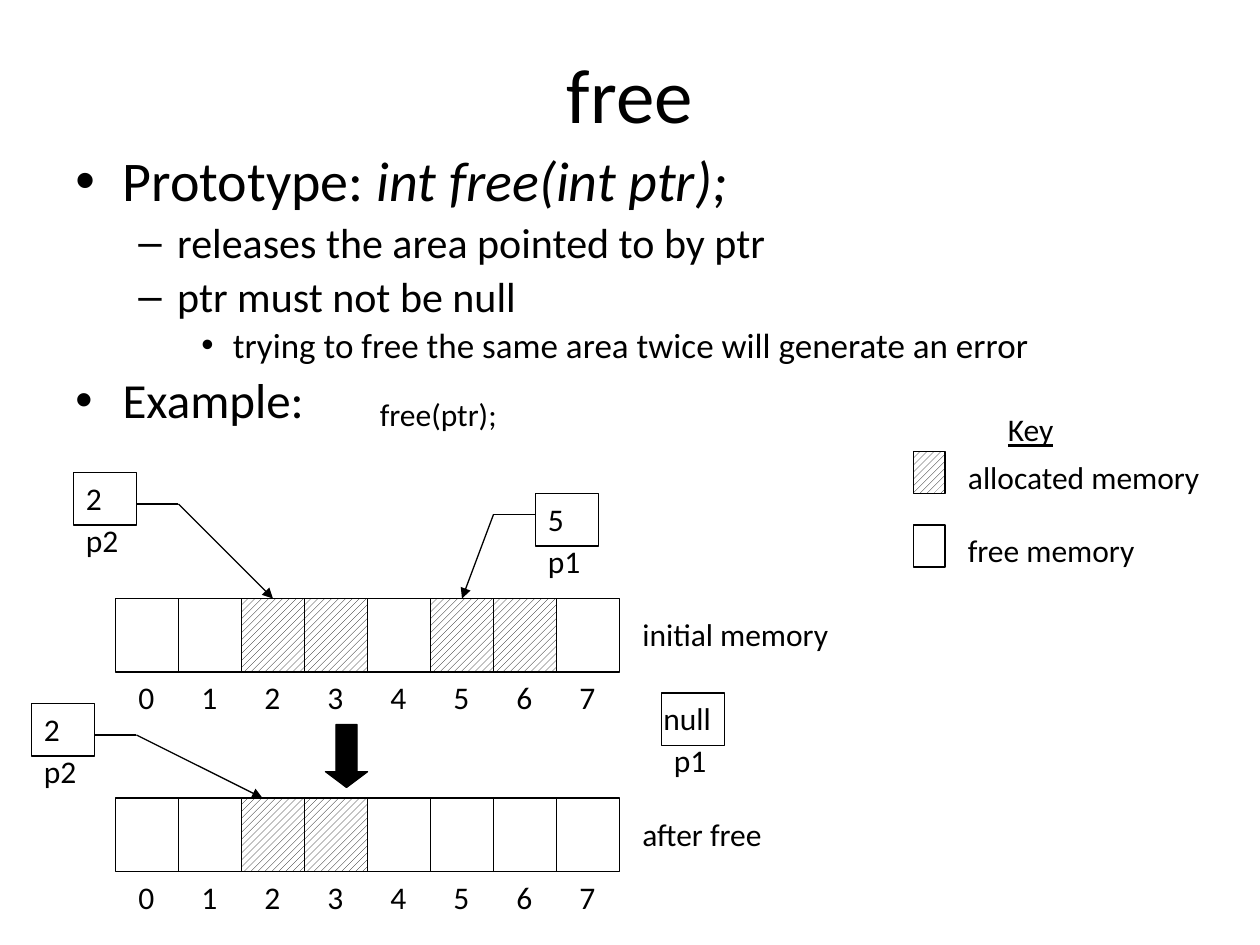
from lxml.etree import SubElement
from pptx import Presentation
from pptx.dml.color import RGBColor
from pptx.enum.dml import MSO_PATTERN as Pattern
from pptx.enum.shapes import MSO_CONNECTOR as Connector, MSO_SHAPE as Shape
from pptx.enum.text import MSO_ANCHOR as Anchor, MSO_AUTO_SIZE as AutoSize, PP_ALIGN as Align
from pptx.oxml.ns import qn
from pptx.util import Emu, Pt

PX = 7620  # EMU, 120 px to the inch
COLORS = {"ink": "000000", "paper": "FFFFFF"}
CELL_W, CELL_H, CELLS = 60, 70, 8
MEMORY_X = 110
LEVELS = [  # left margin, hanging indent, bullet
    (45, 45, "•"),
    (97, 37, "–"),
    (150, 30, "•"),
]


def px(*lengths):
    return [Emu(length * PX) for length in lengths]


def color(name):
    return RGBColor.from_string(COLORS[name])


class MemorySlide:
    font_name = "Calibri"
    label_size = 18
    line_width = Pt(0.75)

    def __init__(self, slide):
        self.slide = slide
        self.shapes = slide.shapes

    def run(self, paragraph, wording, size, **formats):
        run = paragraph.add_run()
        run.text = wording
        formats = {"name": self.font_name, "size": Pt(size), **formats}
        for attribute, value in formats.items():
            setattr(run.font, attribute, value)
        run.font.color.rgb = color("ink")

    def frame(self, x, y, width, height, **formats):
        frame = self.shapes.add_textbox(*px(x, y, width, height)).text_frame
        for attribute, value in {"word_wrap": True, **formats}.items():
            setattr(frame, attribute, value)
        return frame

    def title(self, wording):
        frame = self.frame(60, 36, 1080, 104, vertical_anchor=Anchor.MIDDLE)
        heading = frame.paragraphs[0]
        heading.alignment = Align.CENTER
        self.run(heading, wording, 44)

    def outline(self, items):
        """Bulleted text; each item is (level, size, [(wording, italic), ...])."""
        frame = self.frame(60, 140, 1080, 360)
        for index, (level, size, parts) in enumerate(items):
            item = frame.add_paragraph() if index else frame.paragraphs[0]
            margin, hanging, bullet = LEVELS[level]
            item.level = level
            item.line_spacing = 0.9
            if index:
                item.space_before = Pt(size * 0.2)
            properties = item._p.get_or_add_pPr()
            properties.set("marL", str(margin * PX))
            properties.set("indent", str(-hanging * PX))
            SubElement(properties, qn("a:buFont"), typeface="Arial")
            SubElement(properties, qn("a:buChar"), char=bullet)
            for wording, italic in parts:
                self.run(item, wording, size, italic=italic)

    def label(self, x, y, width, wording, **formats):
        frame = self.frame(x, y, width, 48, word_wrap=False,
                           auto_size=AutoSize.SHAPE_TO_FIT_TEXT)
        self.run(frame.paragraphs[0], wording, self.label_size, **formats)

    def outlined(self, kind, x, y, width, height):
        shape = self.shapes.add_shape(kind, *px(x, y, width, height))
        shape.shadow.inherit = False
        shape.fill.background()
        shape.line.color.rgb = color("ink")
        shape.line.width = self.line_width
        return shape

    def box(self, x, y, width, height, allocated=False):
        box = self.outlined(Shape.RECTANGLE, x, y, width, height)
        if allocated:
            box.fill.patterned()
            box.fill.pattern = Pattern.WIDE_UPWARD_DIAGONAL
            box.fill.fore_color.rgb = color("ink")
            box.fill.back_color.rgb = color("paper")

    def down_arrow(self, x, y, width, height):
        arrow = self.outlined(Shape.DOWN_ARROW, x, y, width, height)
        arrow.adjustments[0] = 0.5
        arrow.adjustments[1] = 0.375
        arrow.fill.solid()
        arrow.fill.fore_color.rgb = color("ink")

    def line(self, start, end, arrow=False):
        line = self.shapes.add_connector(Connector.STRAIGHT, *px(*start, *end))
        line.line.color.rgb = color("ink")
        line.line.width = self.line_width
        if arrow:
            SubElement(line.line._get_or_add_ln(), qn("a:tailEnd"), type="triangle")
        SubElement(line._element.spPr, qn("a:effectLst"))

    def memory(self, y, allocated, caption, caption_width):
        self.box(MEMORY_X, y, CELLS * CELL_W, CELL_H)
        for cell in range(CELLS):
            x = MEMORY_X + cell * CELL_W
            if cell:
                self.line((x, y), (x, y + CELL_H))
            if cell in allocated:
                self.box(x, y, CELL_W, CELL_H, allocated=True)
            self.label(x + 10, y + CELL_H, 41, str(cell))
        self.label(600, y + 10, caption_width, caption)

    def pointer(self, x, y, name, value, value_x=None, value_width=41, route=()):
        """Box holding an address, its name below, and the bent arrow along route."""
        self.box(x, y, 60, 50)
        self.label(x, y + 40, 58, name)
        self.label(value_x or x, y, value_width, value)
        for start, end in zip(route, route[1:]):
            self.line(start, end, arrow=end == route[-1])

    def key(self, entries):
        self.label(948, 385, 76, "Key", underline=True)
        for row, (meaning, width, allocated) in enumerate(entries):
            y = 430 + row * 70
            self.box(870, y, 30, 40, allocated)
            self.label(910, y, width, meaning)


def main():
    deck = Presentation()
    deck.slide_width, deck.slide_height = px(1200, 900)
    page = MemorySlide(deck.slides.add_slide(deck.slide_layouts[6]))

    page.title("free")
    page.outline([
        (0, 32, [("Prototype: ", False), ("int free(int ptr);", True)]),
        (1, 24, [("releases the area pointed to by ptr", False)]),
        (1, 24, [("ptr must not be null", False)]),
        (2, 20, [("trying to free the same area twice will generate an error", False)]),
        (0, 28, [("Example:", False)]),
    ])
    page.label(350, 370, 139, "free(ptr);")
    page.key([("allocated memory", 260, True), ("free memory", 192, False)])

    page.memory(570, {2, 3, 5, 6}, "initial memory", 209)
    page.pointer(510, 470, "p1", "5", route=[(510, 490), (470, 490), (440, 570)])
    page.pointer(70, 450, "p2", "2", route=[(130, 480), (170, 480), (260, 570)])

    page.down_arrow(310, 690, 40, 60)

    page.memory(760, {2, 3}, "after free", 144)
    page.pointer(30, 670, "p2", "2", route=[(90, 700), (130, 700), (250, 760)])
    page.pointer(630, 660, "p1", "null", value_x=620, value_width=71)

    deck.save("out.pptx")


if __name__ == "__main__":
    main()
